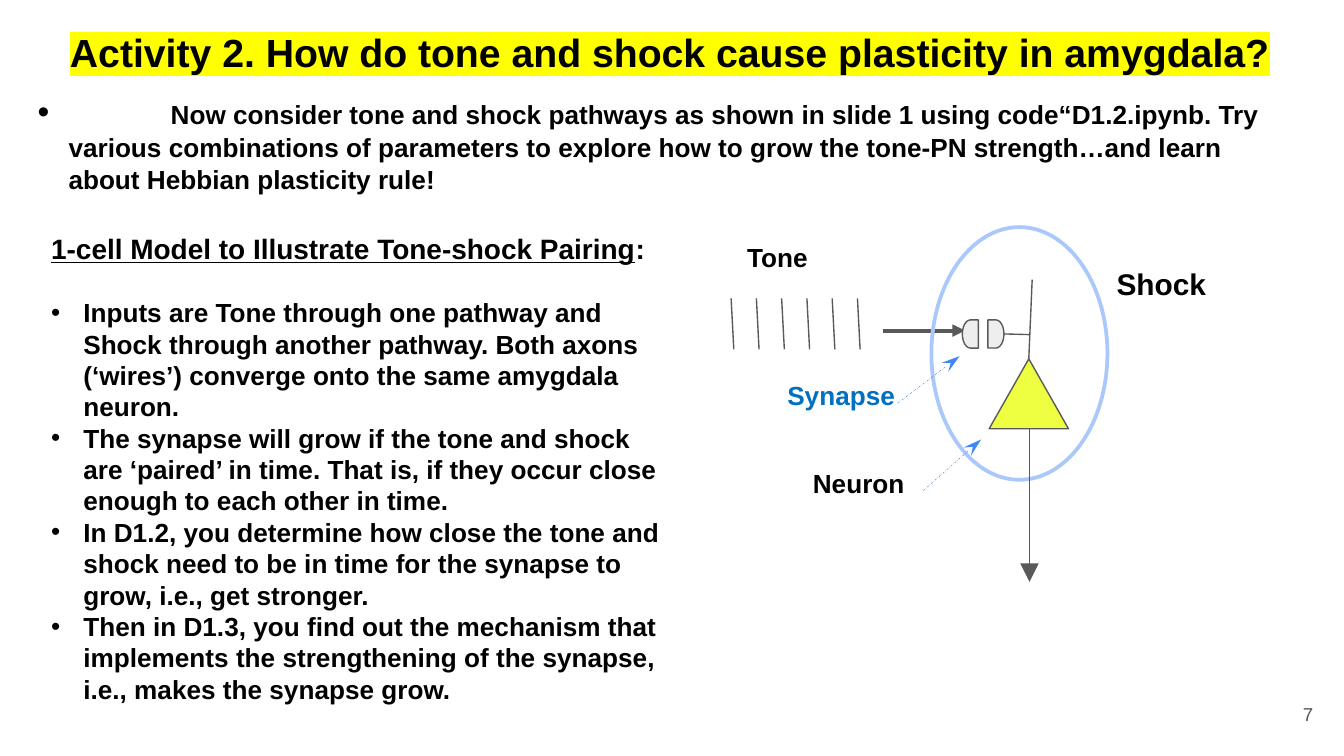
from lxml.etree import SubElement
from pptx import Presentation
from pptx.dml.color import RGBColor
from pptx.enum.dml import MSO_LINE
from pptx.enum.shapes import MSO_CONNECTOR, MSO_SHAPE
from pptx.enum.text import MSO_ANCHOR, MSO_AUTO_SIZE, PP_ALIGN
from pptx.oxml.ns import qn
from pptx.util import Inches, Pt

THEME = {
    "font": "Arial",
    "ink": RGBColor.from_string("000000"),
    "wire": RGBColor.from_string("595959"),
    "synapse": RGBColor.from_string("0070C0"),
    "pointer": RGBColor.from_string("4285F4"),
    "halo": RGBColor.from_string("AAC8FA"),
    "neuron": RGBColor.from_string("EEFF41"),
    "terminal": RGBColor.from_string("EEEEEE"),
    "highlight": "FFFF00",
    "title": Pt(21),
    "lead": Pt(18),
    "shock": Pt(16),
    "heading": Pt(15),
    "body": Pt(14),
    "number": Pt(10),
}


def write(paragraph, text, size, color=THEME["ink"], **extra):
    run = paragraph.add_run()
    run.text = text
    run.font.color.rgb = color
    formats = {"name": THEME["font"], "size": size, "bold": True, **extra}
    for name, value in formats.items():
        setattr(run.font, name, value)
    return run


def wire(start, end, color=THEME["wire"], width=0.75, head=None, dash=None):
    connector = slide.shapes.add_connector(
        MSO_CONNECTOR.STRAIGHT, *[Inches(v) for v in (*start, *end)])
    connector.line.color.rgb = color
    connector.line.width = Pt(width)
    if dash:
        connector.line.dash_style = dash
    properties = connector._element.spPr
    if head:
        SubElement(properties.find(qn("a:ln")), qn("a:tailEnd"), head)
    SubElement(properties, qn("a:effectLst"))
    return connector


prs = Presentation()
prs.slide_width, prs.slide_height = Inches(10), Inches(10) * 9 // 16
slide = prs.slides.add_slide(prs.slide_layouts[3])
title, intro, model = slide.placeholders

for holder, place in (
    (title, (0.42, 0.16, 9.17, 0.45)),
    (intro, (0.18, 0.63, 9.49, 0.88)),
    (model, (0.28, 1.67, 4.87, 3.42)),
):
    holder.left, holder.top, holder.width, holder.height = [Inches(v) for v in place]
    frame_formats = {
        "word_wrap": True,
        "auto_size": MSO_AUTO_SIZE.NONE,
        "vertical_anchor": MSO_ANCHOR.TOP,
    }
    for name, value in frame_formats.items():
        setattr(holder.text_frame, name, value)

title_run = write(title.text_frame.paragraphs[0],
                  "Activity 2. How do tone and shock cause plasticity in amygdala?",
                  THEME["title"])
highlight = title_run.font._element.makeelement(qn("a:highlight"))
SubElement(highlight, qn("a:srgbClr"), val=THEME["highlight"])
title_run.font._element.find(qn("a:solidFill")).addnext(highlight)

lead = intro.text_frame.paragraphs[0]
lead_properties = lead._p.get_or_add_pPr()
SubElement(SubElement(lead_properties, qn("a:tabLst")), qn("a:tab"),
           pos=str(Inches(0.99)), algn="l")
write(lead, "\t", THEME["lead"])
write(lead, "Now consider tone and shock pathways as shown in slide 1 using code“D1.2.ipynb. "
            "Try various combinations of parameters to explore how to grow the tone-PN "
            "strength…and learn about Hebbian plasticity rule!", THEME["body"])

model_heading = model.text_frame.paragraphs[0]
SubElement(model_heading._p.get_or_add_pPr(), qn("a:buNone"))
write(model_heading, "1-cell Model to Illustrate Tone-shock Pairing", THEME["heading"],
      underline=True)
write(model_heading, ":", THEME["heading"])
model.text_frame.margin_right = Inches(0.2)

for point in (
    "Inputs are Tone through one pathway and Shock through another pathway. "
    "Both axons (‘wires’) converge onto the same amygdala neuron.",
    "The synapse will grow if the tone and shock are ‘paired’ in time. "
    "That is, if they occur close enough to each other in time.",
    "In D1.2, you determine how close the tone and shock need to be in time "
    "for the synapse to grow, i.e., get stronger.",
    "Then in D1.3, you find out the mechanism that implements the strengthening "
    "of the synapse, i.e., makes the synapse grow.",
):
    write(model.text_frame.add_paragraph(), point, THEME["body"])

for holder, hang in ((title, 0), (intro, 0.23), (model, 0.24)):
    for paragraph in holder.text_frame.paragraphs:
        is_heading = paragraph._p is model_heading._p
        properties = paragraph._p.get_or_add_pPr()
        properties.set("marL", str(Inches(0 if is_heading else hang)))
        properties.set("indent", str(Inches(0 if is_heading else -hang)))
        spacing = {
            "alignment": PP_ALIGN.LEFT,
            "line_spacing": 1.0,
            "space_before": Pt(0),
            "space_after": Pt(17 if is_heading else 0),
        }
        for name, value in spacing.items():
            setattr(paragraph, name, value)

for spike in range(6):
    x = 5.44 + 0.94 * spike / 5
    wire((x, 2.22), (x + 0.02, 2.6))
wire((6.57, 2.46), (7.18, 2.46), width=2.25, head={"type": "triangle"})

parts = {}
for part, preset, place, fill, outline, width in (
    ("neuron", MSO_SHAPE.ISOSCELES_TRIANGLE, (7.36, 2.67, 0.59, 0.52),
     THEME["neuron"], THEME["wire"], 0.75),
    ("presynaptic", MSO_SHAPE.FLOWCHART_DELAY, (7.16, 2.38, 0.12, 0.21),
     THEME["terminal"], THEME["wire"], 0.75),
    ("postsynaptic", MSO_SHAPE.FLOWCHART_DELAY, (7.35, 2.38, 0.12, 0.21),
     THEME["terminal"], THEME["wire"], 0.75),
    ("halo", MSO_SHAPE.OVAL, (6.93, 1.69, 1.31, 1.88), None, THEME["halo"], 2),
):
    cell_part = slide.shapes.add_shape(preset, *[Inches(v) for v in place])
    cell_part.shadow.inherit = False
    cell_part.line.color.rgb = outline
    cell_part.line.width = Pt(width)
    if fill is None:
        cell_part.fill.background()
    else:
        cell_part.fill.solid()
        cell_part.fill.fore_color.rgb = fill
    parts[part] = cell_part
parts["presynaptic"].rotation = 180

dendrite = wire((7.66, 2.67), (7.68, 2.08))
dendrite.begin_connect(parts["neuron"], 0)
spine = wire((7.47, 2.48), (7.66, 2.49))
spine.begin_connect(parts["postsynaptic"], 3)
wire((7.66, 3.19), (7.66, 4.33), head={"type": "triangle", "w": "lg", "len": "lg"})
for start, end in (((6.87, 3.65), (7.3, 3.27)), ((6.68, 3), (7.14, 2.65))):
    wire(start, end, THEME["pointer"], 0.25, {"type": "stealth", "len": "lg"},
         MSO_LINE.DASH_DOT)

for text, place, size, color in (
    ("Tone", (5.46, 1.75, 1.22, 0.58), THEME["body"], THEME["ink"]),
    ("Neuron", (5.95, 3.43, 1.4, 0.58), THEME["body"], THEME["ink"]),
    ("Synapse", (5.76, 2.77, 1.4, 0.49), THEME["body"], THEME["synapse"]),
    ("Shock", (8.21, 1.93, 1.08, 0.54), THEME["shock"], THEME["ink"]),
):
    label = slide.shapes.add_textbox(*[Inches(v) for v in place]).text_frame
    label.word_wrap = True
    write(label.paragraphs[0], text, size, color)

page_number = slide.shapes.add_textbox(
    Inches(9.27), Inches(5.1), Inches(0.6), Inches(0.43)).text_frame
page_number.word_wrap = True
page_number.vertical_anchor = MSO_ANCHOR.MIDDLE
page_number.paragraphs[0].alignment = PP_ALIGN.RIGHT
write(page_number.paragraphs[0], "7", THEME["number"], THEME["wire"], bold=False)

prs.save("out.pptx")
